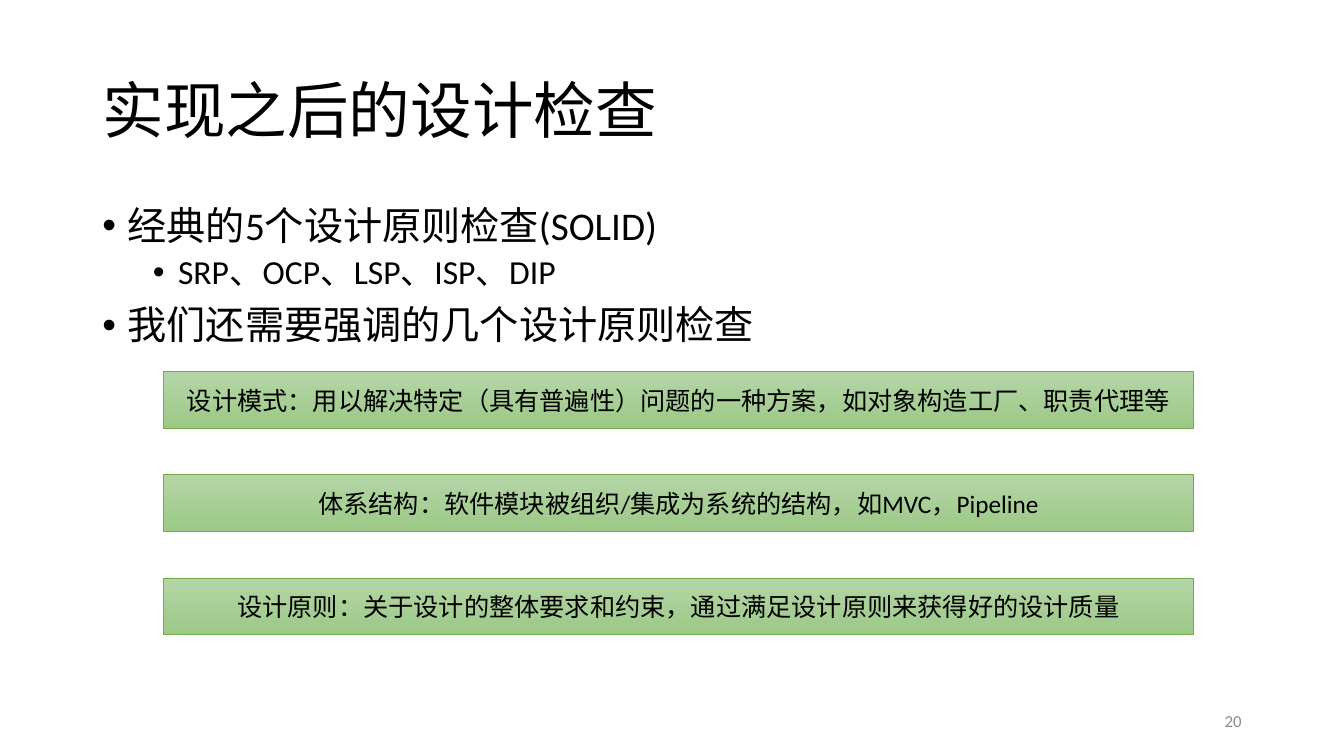
import pptx
import pptx.util
import pptx.dml.color
import pptx.enum.shapes
import pptx.enum.text
import pptx.oxml
import pptx.oxml.ns

Pt = pptx.util.Pt
RGB = pptx.dml.color.RGBColor
ALIGN = pptx.enum.text.PP_ALIGN
ANCHOR = pptx.enum.text.MSO_ANCHOR

BLACK = RGB(0x00, 0x00, 0x00)
GREY = RGB(0x8C, 0x8C, 0x8C)
LIGHT = RGB(0xB5, 0xD5, 0xA7)
DEEP = RGB(0x9C, 0xC9, 0x87)
EDGE = RGB(0x70, 0xAD, 0x47)

POINTS = [
    (0, "经典的5个设计原则检查(SOLID)"),
    (1, "SRP、OCP、LSP、ISP、DIP"),
    (0, "我们还需要强调的几个设计原则检查"),
]
BARS = [
    "设计模式：用以解决特定（具有普遍性）问题的一种方案，如对象构造工厂、职责代理等",
    "体系结构：软件模块被组织/集成为系统的结构，如MVC，Pipeline",
    "设计原则：关于设计的整体要求和约束，通过满足设计原则来获得好的设计质量",
]


def place(shape, box):
    shape.left, shape.top, shape.width, shape.height = map(Pt, box)


def style(para, size, color, align):
    para.alignment = align
    for run in para.runs:
        run.font.name = "Calibri"
        run.font.size = Pt(size)
        run.font.color.rgb = color


def label(shape, text, size, color, align):
    frame = shape.text_frame
    frame.text = text
    frame.word_wrap = True
    frame.auto_size = pptx.enum.text.MSO_AUTO_SIZE.NONE
    frame.vertical_anchor = ANCHOR.MIDDLE
    style(frame.paragraphs[0], size, color, align)


def bullet(para, level):
    props = para._p.get_or_add_pPr()
    props.set("marL", str(Pt(18 + 36 * level)))
    props.set("indent", str(Pt(-18)))
    for tag, key, value in (("a:buFont", "typeface", "Arial"),
                            ("a:buChar", "char", "•")):
        mark = pptx.oxml.parse_xml(
            f"<{tag} {pptx.oxml.ns.nsdecls('a')}/>")
        mark.set(key, value)
        props.append(mark)


def head(slide, box):
    title = slide.shapes.title
    place(title, box)
    label(title, "实现之后的设计检查", 44, BLACK, ALIGN.LEFT)
    title.text_frame.paragraphs[0].line_spacing = 0.9


def points(slide, box):
    body = slide.placeholders[1]
    place(body, box)
    frame = body.text_frame
    frame.text = "\n".join(text for _, text in POINTS)
    frame.auto_size = pptx.enum.text.MSO_AUTO_SIZE.NONE
    for para, (level, _) in zip(frame.paragraphs, POINTS):
        para.level = level
        para.line_spacing = 0.9
        para.space_before = Pt(5 if level else 10)
        style(para, 24 if level else 28, BLACK, ALIGN.LEFT)
        bullet(para, level)


def bars(slide, box):
    left, top, width, height = box
    deep = 40.5
    step = (height - deep) / (len(BARS) - 1)
    for row, text in enumerate(BARS):
        bar = slide.shapes.add_shape(
            pptx.enum.shapes.MSO_SHAPE.RECTANGLE,
            *map(Pt, (left, top + row * step, width, deep)))
        bar.shadow.inherit = False
        bar.fill.gradient()
        bar.fill.gradient_angle = 270
        for stop, color in zip(bar.fill.gradient_stops, (LIGHT, DEEP)):
            stop.color.rgb = color
        bar.line.color.rgb = EDGE
        bar.line.width = Pt(0.5)
        label(bar, text, 18, BLACK, ALIGN.CENTER)


def number(slide, box):
    note = slide.shapes.add_textbox(*map(Pt, box))
    label(note, "20", 12, GREY, ALIGN.RIGHT)


deck = pptx.Presentation()
deck.slide_width, deck.slide_height = Pt(960), Pt(540)
slide = deck.slides.add_slide(deck.slide_layouts[1])
head(slide, (66, 28.75, 828, 104.4))
points(slide, (66, 143.75, 828, 342.6))
bars(slide, (116.6, 265.5, 736, 187.8))
number(slide, (678, 500.5, 216, 28.75))
deck.save("out.pptx")
